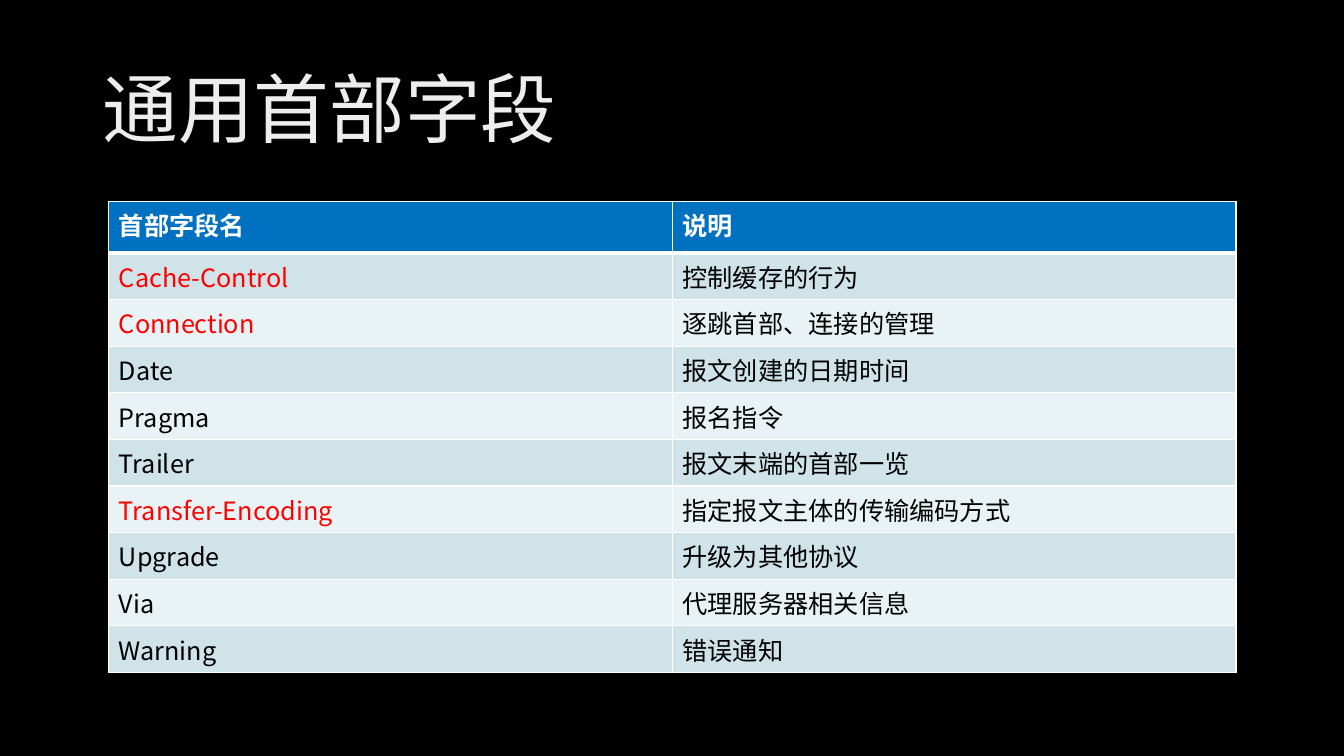
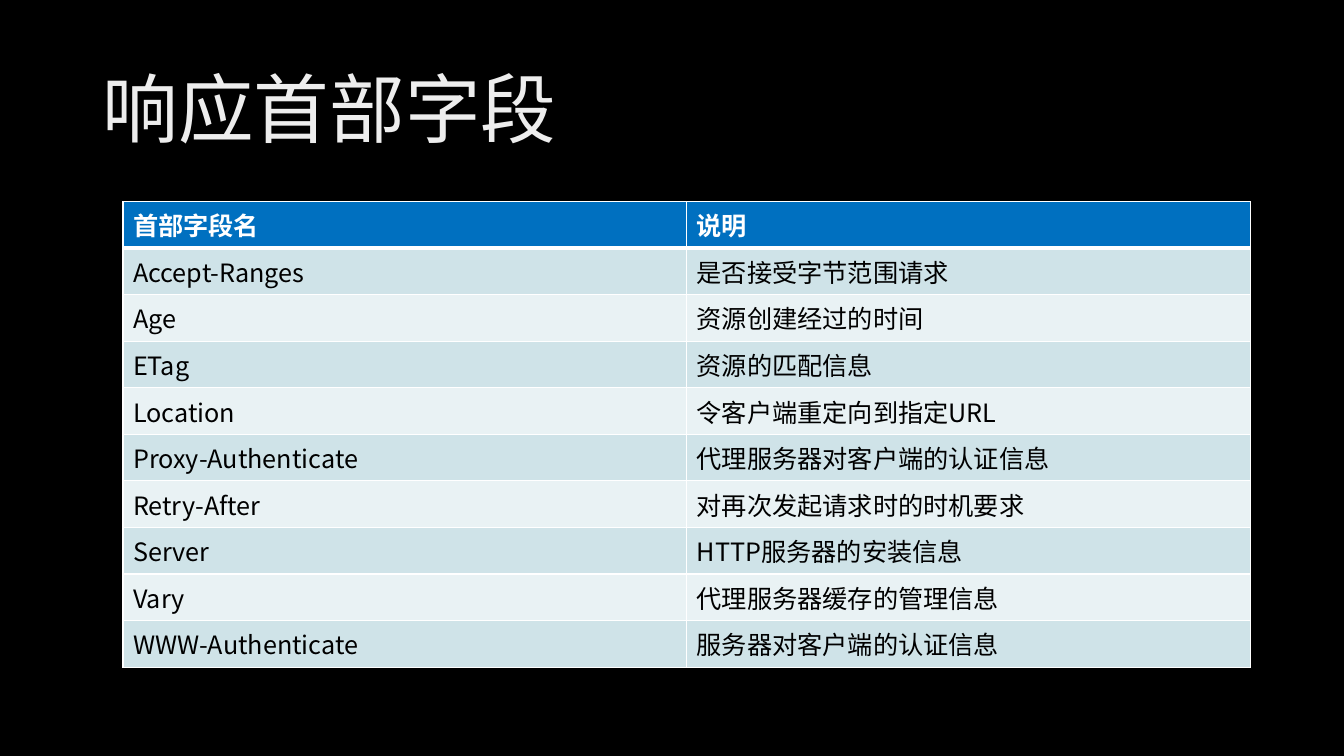
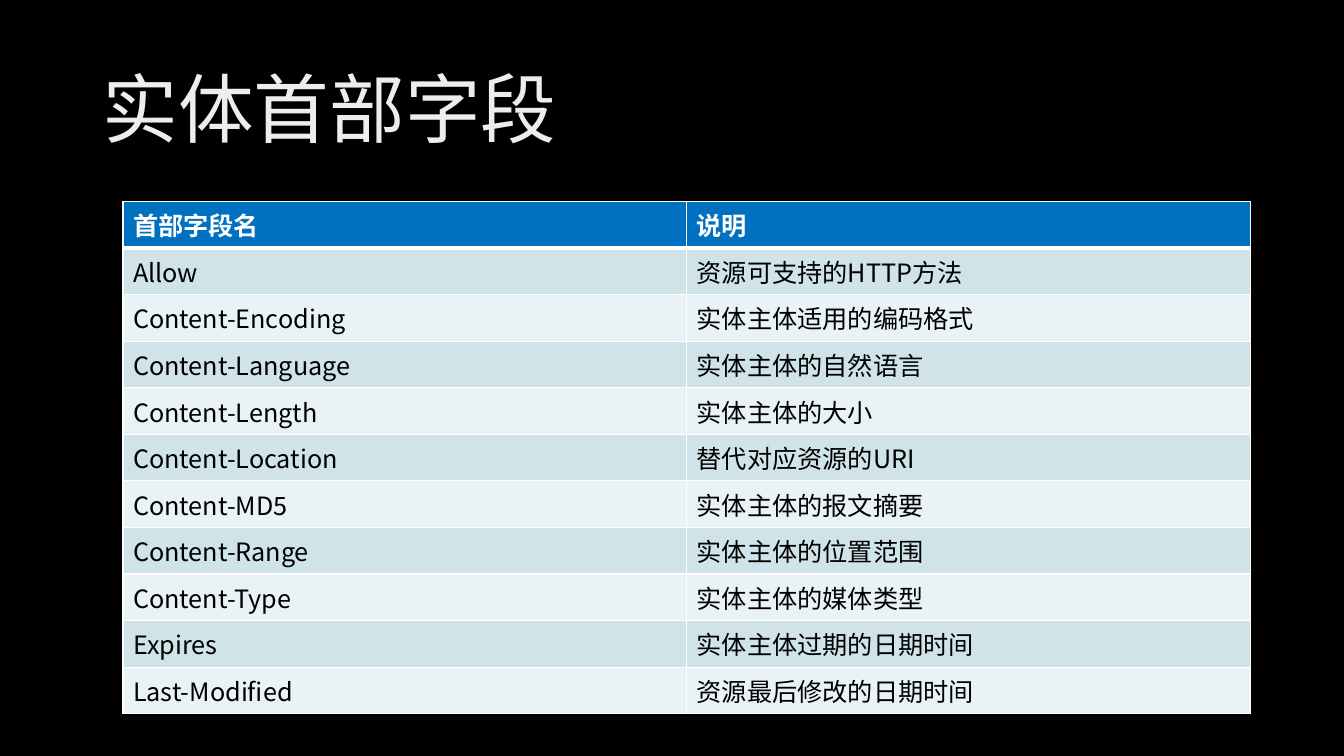
import pptx
import pptx.dml.color
import pptx.enum.text
import pptx.oxml
import pptx.oxml.ns
import pptx.util

Inches = pptx.util.Inches
Pt = pptx.util.Pt
RGBColor = pptx.dml.color.RGBColor

FONT = "Noto Sans CJK SC"
BLACK = RGBColor(0x00, 0x00, 0x00)
WHITE = RGBColor(0xFF, 0xFF, 0xFF)
RED = RGBColor(0xFF, 0x00, 0x00)
HEADER_BLUE = RGBColor(0x00, 0x70, 0xC0)
BAND_DARK = RGBColor(0xCF, 0xE3, 0xE8)
BAND_LIGHT = RGBColor(0xE9, 0xF2, 0xF4)
TITLE_STOPS = (
    (0, RGBColor(0xBF, 0xBF, 0xBF)),
    (28, RGBColor(0xED, 0xED, 0xED)),
    (100, WHITE),
)
TITLE_ANGLE = 80

HEADINGS = ("首部字段名", "说明")
GENERAL_FIELDS = [
    ("Cache-Control", "控制缓存的行为"),
    ("Connection", "逐跳首部、连接的管理"),
    ("Date", "报文创建的日期时间"),
    ("Pragma", "报名指令"),
    ("Trailer", "报文末端的首部一览"),
    ("Transfer-Encoding", "指定报文主体的传输编码方式"),
    ("Upgrade", "升级为其他协议"),
    ("Via", "代理服务器相关信息"),
    ("Warning", "错误通知"),
]
KEY_FIELDS = {"Cache-Control", "Connection", "Transfer-Encoding"}
RESPONSE_FIELDS = [
    ("Accept-Ranges", "是否接受字节范围请求"),
    ("Age", "资源创建经过的时间"),
    ("ETag", "资源的匹配信息"),
    ("Location", "令客户端重定向到指定URL"),
    ("Proxy-Authenticate", "代理服务器对客户端的认证信息"),
    ("Retry-After", "对再次发起请求时的时机要求"),
    ("Server", "HTTP服务器的安装信息"),
    ("Vary", "代理服务器缓存的管理信息"),
    ("WWW-Authenticate", "服务器对客户端的认证信息"),
]
ENTITY_FIELDS = [
    ("Allow", "资源可支持的HTTP方法"),
    ("Content-Encoding", "实体主体适用的编码格式"),
    ("Content-Language", "实体主体的自然语言"),
    ("Content-Length", "实体主体的大小"),
    ("Content-Location", "替代对应资源的URI"),
    ("Content-MD5", "实体主体的报文摘要"),
    ("Content-Range", "实体主体的位置范围"),
    ("Content-Type", "实体主体的媒体类型"),
    ("Expires", "实体主体过期的日期时间"),
    ("Last-Modified", "资源最后修改的日期时间"),
]


def drawing_element(tag, content="", **attributes):
    """Build one DrawingML element."""
    namespace = pptx.oxml.ns.nsdecls("a")
    settings = " ".join(f'{name}="{value}"' for name, value in attributes.items())
    return pptx.oxml.parse_xml(f"<a:{tag} {namespace} {settings}>{content}</a:{tag}>")


def write_text(frame, text, *, size=18, color=BLACK, bold=False, gradient=None, line_spacing=None):
    """Write text as the only paragraph of a frame."""
    para = frame.paragraphs[0]
    if line_spacing:
        para.line_spacing = line_spacing
    span = para.add_run()
    span.text = text
    span.font.name = FONT
    span.font.size = Pt(size)
    span.font.bold = bold
    properties = span.font._element
    properties.find(pptx.oxml.ns.qn("a:latin")).addnext(drawing_element("ea", typeface=FONT))
    if gradient:
        stops = "".join(
            f'<a:gs pos="{place * 1000}"><a:srgbClr val="{shade}"/></a:gs>'
            for place, shade in gradient
        )
        content = f'<a:gsLst>{stops}</a:gsLst><a:lin ang="{TITLE_ANGLE * 60000}" scaled="0"/>'
        properties.insert(0, drawing_element("gradFill", content))
    else:
        span.font.color.rgb = color


class HeaderDeck:
    """Holds the style and the current page."""

    def __init__(self):
        self.deck = pptx.Presentation()
        self.deck.slide_width = Inches(13.33)
        self.deck.slide_height = Inches(7.5)
        self.page = None

    def add_page(self, title):
        self.page = self.deck.slides.add_slide(self.deck.slide_layouts[6])
        background = self.page.background.fill
        background.solid()
        background.fore_color.rgb = BLACK
        self.add_title(title)

    def add_title(self, text):
        box = self.page.shapes.add_textbox(Inches(0.92), Inches(0.4), Inches(11.5), Inches(1.45))
        frame = box.text_frame
        frame.word_wrap = True
        frame.vertical_anchor = pptx.enum.text.MSO_ANCHOR.MIDDLE
        write_text(frame, text, size=54, gradient=TITLE_STOPS, line_spacing=0.9)

    def add_field_table(self, fields, left, height, header_height=None, key_fields=()):
        """Add a table whose rows share the height; the header may have its own."""
        rows = [HEADINGS, *fields]
        table = self.page.shapes.add_table(
            len(rows), len(HEADINGS), Inches(left), Inches(2), Inches(11.18), Inches(height)
        ).table
        table.first_row = table.horz_banding = False
        header_height = header_height or height / len(rows)
        row_height = (height - header_height) / len(fields)
        for index, texts in enumerate(rows):
            table.rows[index].height = Inches(row_height if index else header_height)
            for column, text in enumerate(texts):
                cell = table.cell(index, column)
                self.style_cell(cell, index)
                if index == 0:
                    color = WHITE
                else:
                    color = RED if text in key_fields else BLACK
                write_text(cell.text_frame, text, color=color, bold=index == 0)

    def style_cell(self, cell, index):
        # Borders, with a heavy rule under the header
        top = 3 if index == 1 else 1
        bottom = 3 if index == 0 else 1
        line_fill = f'<a:solidFill><a:srgbClr val="{WHITE}"/></a:solidFill>'
        properties = cell._tc.get_or_add_tcPr()
        for side, width in (("L", 1), ("R", 1), ("T", top), ("B", bottom)):
            properties.append(drawing_element(f"ln{side}", line_fill, w=Pt(width)))
        # Fill
        cell.fill.solid()
        band = BAND_DARK if index % 2 else BAND_LIGHT
        cell.fill.fore_color.rgb = band if index else HEADER_BLUE


def main():
    builder = HeaderDeck()

    # General header fields
    builder.add_page("通用首部字段")
    builder.add_field_table(GENERAL_FIELDS, 1.08, 4.67, header_height=0.51, key_fields=KEY_FIELDS)

    # Response header fields
    builder.add_page("响应首部字段")
    builder.add_field_table(RESPONSE_FIELDS, 1.22, 4.62)

    # Entity header fields
    builder.add_page("实体首部字段")
    builder.add_field_table(ENTITY_FIELDS, 1.22, 5.08)

    builder.deck.save("out.pptx")


if __name__ == "__main__":
    main()
